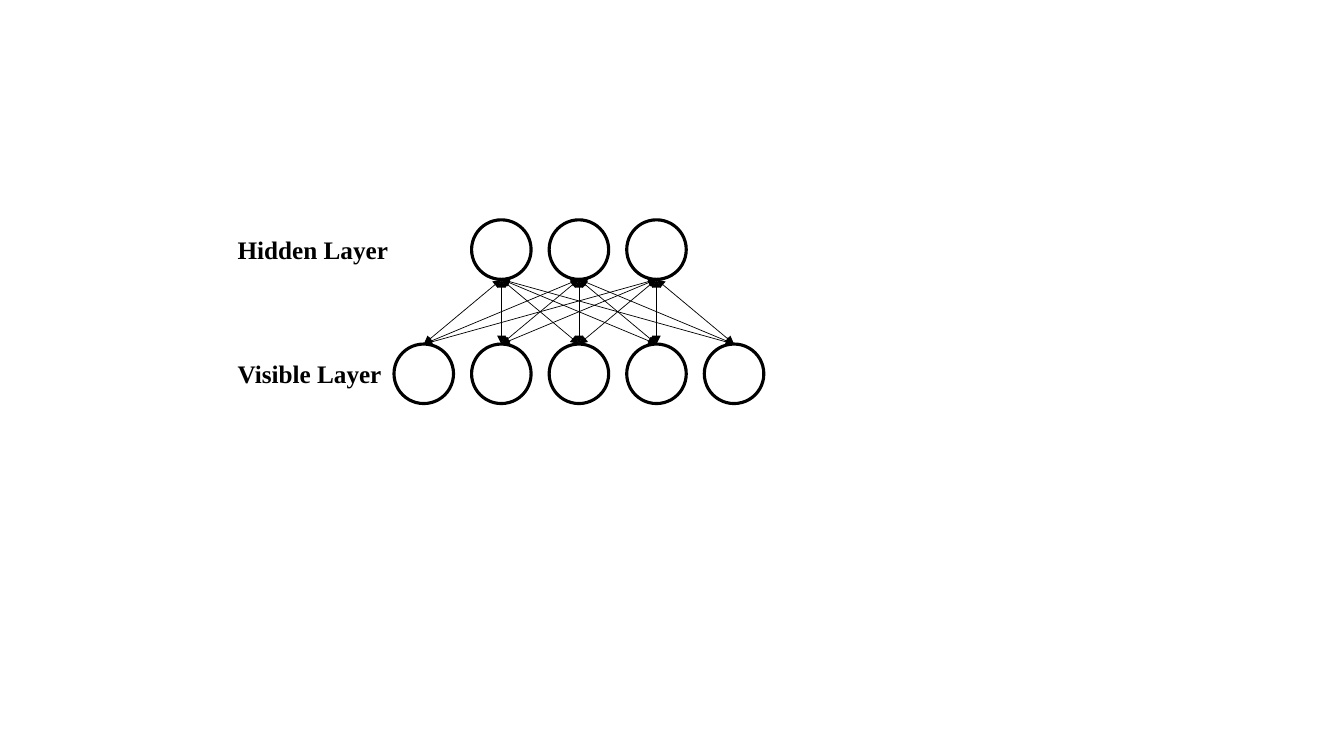
from itertools import product

from pptx import Presentation
from pptx.dml.color import RGBColor
from pptx.enum.shapes import MSO_CONNECTOR as Link, MSO_SHAPE as Shape
from pptx.enum.text import MSO_ANCHOR as Anchor, MSO_AUTO_SIZE as Fit
from pptx.oxml.ns import qn
from pptx.oxml.xmlchemy import OxmlElement as Node
from pptx.util import Cm, Pt

SIZE = 1.5     # circle diameter, cm
PITCH = 1.955  # centre to centre, cm
TALL = 1.02    # label height, cm


def color(text):
    return RGBColor.from_string(text)


def label(slide, text, left, top, width):
    box = slide.shapes.add_textbox(Cm(left), Cm(top), Cm(width), Cm(TALL))
    frame = box.text_frame
    frame.word_wrap = False
    frame.auto_size = Fit.SHAPE_TO_FIT_TEXT
    frame.vertical_anchor = Anchor.TOP
    par = frame.paragraphs[0]
    par.text = text
    par.font.name = "Times New Roman"
    par.font.size = Pt(18)
    par.font.bold = True
    par.font.color.rgb = color("000000")


def unit(slide, left, top):
    ball = slide.shapes.add_shape(Shape.OVAL, Cm(left), Cm(top), Cm(SIZE), Cm(SIZE))
    ball.shadow.inherit = False
    ball.fill.solid()
    ball.fill.fore_color.rgb = color("FFFFFF")
    ball.line.color.rgb = color("000000")
    ball.line.width = Pt(2.25)
    return ball


def layer(slide, text, count, left, top, wide, mid):
    """Place a label at the left and a row of units centred on mid."""
    label(slide, text, left, top + (SIZE - TALL) / 2, wide)
    start = mid - ((count - 1) * PITCH + SIZE) / 2
    return [unit(slide, start + i * PITCH, top) for i in range(count)]


def link(slide, upper, lower):
    line = slide.shapes.add_connector(Link.STRAIGHT, 0, 0, 0, 0)
    line.begin_connect(upper, 2)
    line.end_connect(lower, 0)
    # An oval has eight sites; its bottom is number 4
    line._element.find(".//" + qn("a:stCxn")).set("idx", "4")
    line.line.color.rgb = color("000000")
    line.line.width = Pt(0.5)
    stroke = line.line._get_or_add_ln()
    for end in ("a:headEnd", "a:tailEnd"):
        tip = Node(end)
        tip.set("type", "triangle")
        stroke.append(tip)
    line._element.spPr.append(Node("a:effectLst"))


def network(slide, left, top):
    mid = left + 8.85
    hidden = layer(slide, "Hidden Layer", 3, left, top, 4.34, mid)
    seen = layer(slide, "Visible Layer", 5, left, top + 3.13, 4.17, mid)
    # Every hidden unit meets every visible one
    for upper, lower in product(hidden, seen):
        link(slide, upper, lower)


def main():
    deck = Presentation()
    deck.slide_width, deck.slide_height = Cm(33.87), Cm(19.05)
    slide = deck.slides.add_slide(deck.slide_layouts[6])
    network(slide, 5.74, 5.54)
    deck.save("out.pptx")


if __name__ == "__main__":
    main()
